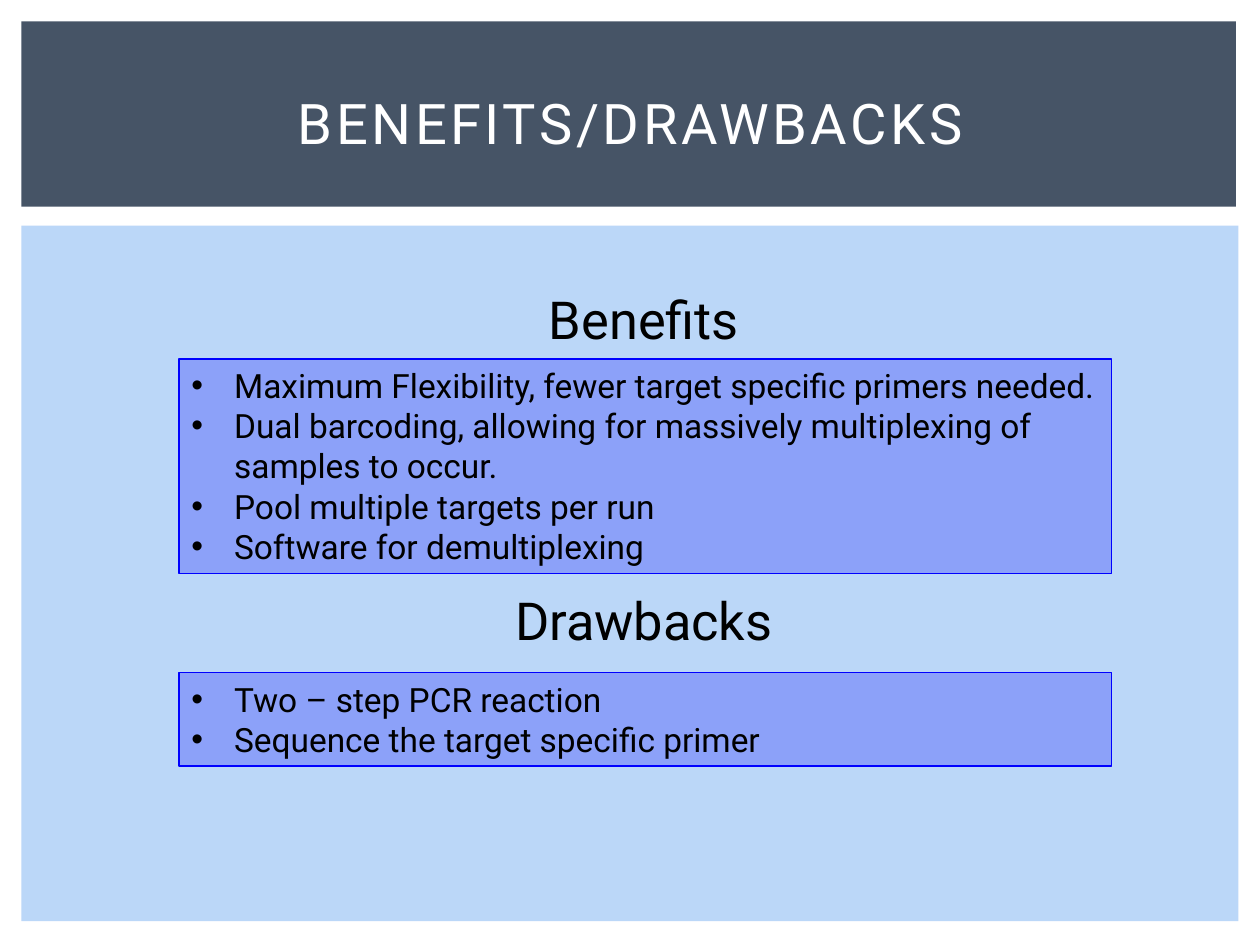
from dataclasses import dataclass

from lxml.etree import SubElement
from pptx import Presentation
from pptx.dml.color import RGBColor
from pptx.enum.shapes import MSO_SHAPE
from pptx.enum.text import MSO_ANCHOR, MSO_AUTO_SIZE, PP_ALIGN
from pptx.oxml.ns import qn
from pptx.util import Inches, Pt


@dataclass(frozen=True)
class Theme:
    font: str = "Roboto"
    banner: RGBColor = RGBColor(0x46, 0x54, 0x66)
    panel: RGBColor = RGBColor(0xBB, 0xD7, 0xF8)
    accent: RGBColor = RGBColor(0x00, 0x00, 0xFF)
    light: RGBColor = RGBColor(0xFF, 0xFF, 0xFF)
    dark: RGBColor = RGBColor(0x00, 0x00, 0x00)
    title_size: float = 32
    heading_size: float = 29.9
    body_size: float = 19.1


THEME = Theme()
SECTIONS = [
    ("Benefits", 2.1, 2.85, 1.7, [
        "Maximum Flexibility, fewer target specific primers needed.",
        "Dual barcoding, allowing for massively multiplexing of samples to occur.",
        "Pool multiple targets per run",
        "Software for demultiplexing",
    ]),
    ("Drawbacks", 4.49, 5.34, 0.74, [
        "Two – step PCR reaction",
        "Sequence the target specific primer",
    ]),
]


def set_attrs(obj, values):
    for name, value in values.items():
        setattr(obj, name, value)


def add_run(p, text, size, color):
    r = p.add_run()
    r.text = text
    set_attrs(r.font, {"name": THEME.font, "size": Pt(size)})
    r.font.color.rgb = color
    return r


def add_rect(s, box, fill):
    sp = s.shapes.add_shape(MSO_SHAPE.RECTANGLE, *map(Inches, box))
    sp.shadow.inherit = False
    sp.fill.solid()
    sp.fill.fore_color.rgb = fill
    sp.line.fill.background()
    return sp


def add_label(s, box, text, size, color, margins=(0.1, 0.05)):
    tf = s.shapes.add_textbox(*map(Inches, box)).text_frame
    x, y = map(Inches, margins)
    set_attrs(tf, {
        "word_wrap": True,
        "vertical_anchor": MSO_ANCHOR.MIDDLE,
        "margin_left": x,
        "margin_right": x,
        "margin_top": y,
        "margin_bottom": y,
    })
    p = tf.paragraphs[0]
    p.alignment = PP_ALIGN.CENTER
    return add_run(p, text, size, color)


def add_bullet(p, indent):
    pPr = p._p.get_or_add_pPr()
    pPr.set("marL", str(Inches(indent)))
    pPr.set("indent", str(-Inches(indent)))
    SubElement(pPr, qn("a:buFont"), typeface="Arial")
    SubElement(pPr, qn("a:buChar"), char="•")


def add_bullet_box(s, box, items):
    sp = add_rect(s, box, THEME.accent)
    color = sp.fill._xPr.find(qn("a:solidFill"))[0]
    SubElement(color, qn("a:alpha"), val="25000")
    sp.line.color.rgb = THEME.accent
    sp.line.width = Pt(0.75)
    tf = sp.text_frame
    set_attrs(tf, {
        "word_wrap": True,
        "vertical_anchor": MSO_ANCHOR.TOP,
        "auto_size": MSO_AUTO_SIZE.SHAPE_TO_FIT_TEXT,
    })
    for i, item in enumerate(items):
        p = tf.add_paragraph() if i else tf.paragraphs[0]
        p.alignment = PP_ALIGN.LEFT
        add_bullet(p, 0.34)
        add_run(p, item, THEME.body_size, THEME.dark)


def main():
    prs = Presentation()
    set_attrs(prs, {"slide_width": Inches(10), "slide_height": Inches(7.5)})
    s = prs.slides.add_slide(prs.slide_layouts[6])
    add_rect(s, (0.17, 1.79, 9.66, 5.52), THEME.panel)
    add_rect(s, (0.17, 0.17, 9.64, 1.47), THEME.banner)
    title = add_label(s, (0.42, 0.39, 9.17, 1.15), "BENEFITS/DRAWBACKS",
                      THEME.title_size, THEME.light)
    title._r.get_or_add_rPr().set("spc", "200")
    for heading, heading_top, box_top, box_height, items in SECTIONS:
        add_label(s, (2.05, heading_top, 6.12, 0.85), heading,
                  THEME.heading_size, THEME.dark, (0.07, 0.03))
        add_bullet_box(s, (1.42, box_top, 7.4, box_height), items)
    prs.save("out.pptx")


if __name__ == "__main__":
    main()
